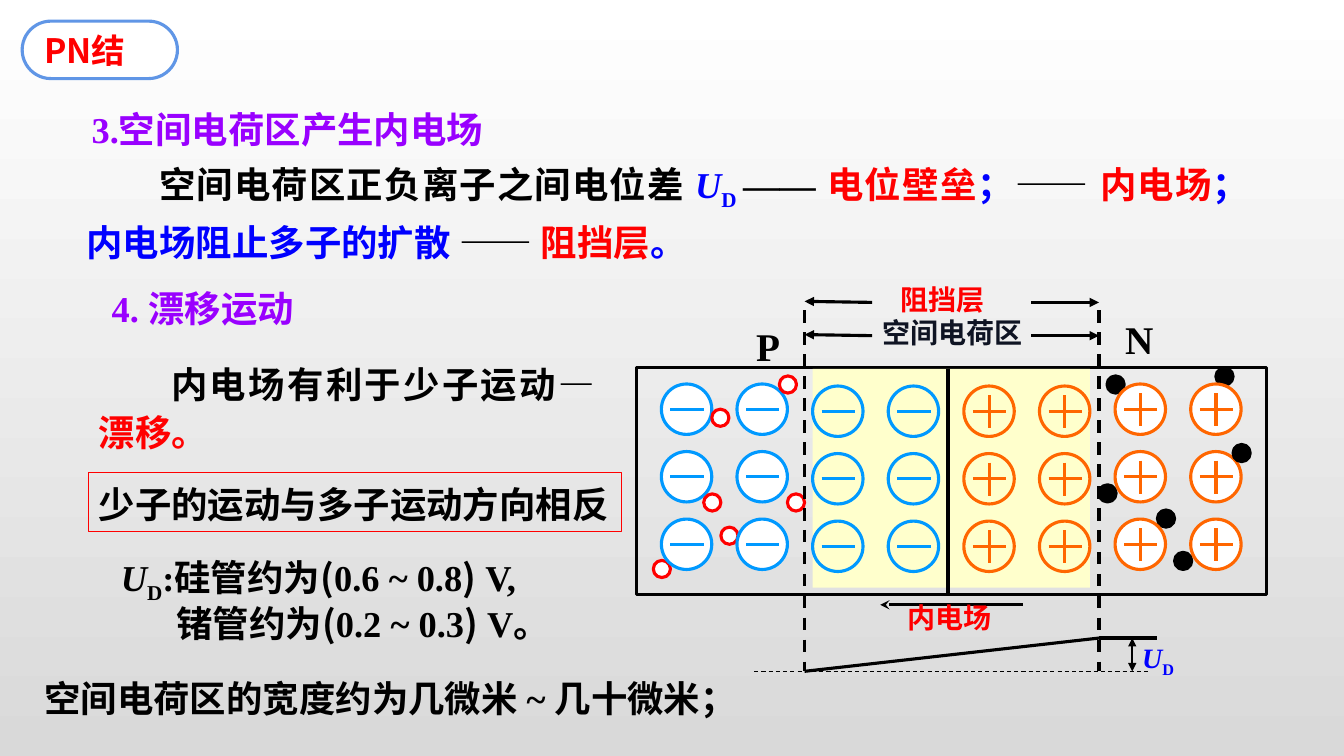
from dataclasses import dataclass

from lxml.etree import SubElement
from pptx import Presentation
from pptx.dml.color import RGBColor
from pptx.enum.dml import MSO_LINE
from pptx.enum.shapes import MSO_CONNECTOR, MSO_SHAPE
from pptx.enum.text import MSO_AUTO_SIZE, PP_ALIGN
from pptx.oxml.ns import qn
from pptx.util import Emu, Pt

EMU_PER_PX = 9144


@dataclass(frozen=True)
class Theme:
    black: str = "000000"
    white: str = "FFFFFF"
    shade: str = "D9D9D9"
    red: str = "FF0000"
    blue: str = "0000FF"
    purple: str = "9900FF"
    navy: str = "0F1423"
    negative: str = "0099FF"
    positive: str = "FF6600"
    zone: str = "FFFFCC"
    pill: str = "6096E6"
    serif: str = "Times New Roman"
    sans: str = "Noto Sans CJK SC"
    body: int = 26
    title: int = 24
    label: int = 20
    region: int = 28
    stroke: float = 2.25
    thin: float = 0.75


def px(n):
    return Emu(n * EMU_PER_PX)


def rgb(color):
    return RGBColor.from_string(color)


class SlideBuilder:
    def __init__(self, prs, theme):
        self.t = theme
        self.s = prs.slides.add_slide(prs.slide_layouts[6])

    def background(self, top, bottom):
        fill = self.s.background.fill
        fill.gradient()
        fill.gradient_angle = 270
        for stop, color in zip(fill.gradient_stops, (top, bottom)):
            stop.color.rgb = rgb(color)

    def shape(self, kind, x, y, w, h, fill=None, line=None, width=None):
        sp = self.s.shapes.add_shape(kind, px(x), px(y), px(w), px(h))
        sp.shadow.inherit = False
        if fill:
            sp.fill.solid()
            sp.fill.fore_color.rgb = rgb(fill)
        else:
            sp.fill.background()
        if line:
            sp.line.color.rgb = rgb(line)
            sp.line.width = Pt(width or self.t.stroke)
        else:
            sp.line.fill.background()
        return sp

    def line(self, x1, y1, x2, y2, color=None, width=None, dash=False, head=None, tail=None):
        c = self.s.shapes.add_connector(MSO_CONNECTOR.STRAIGHT, px(x1), px(y1), px(x2), px(y2))
        c.line.color.rgb = rgb(color or self.t.black)
        c.line.width = Pt(width or self.t.stroke)
        if dash:
            c.line.dash_style = MSO_LINE.DASH
        ln = c._element.spPr.find(qn("a:ln"))
        for tag, arrow in (("a:headEnd", head), ("a:tailEnd", tail)):
            if arrow:
                SubElement(ln, qn(tag)).set("type", arrow)
        SubElement(c._element.spPr, qn("a:effectLst"))

    def text(self, x, y, w, h, runs, size, justify=False, spacing=None, indent=0, frame=None):
        """Add a bold text box; each run is (text, colour, optional marks: italic sub sans)."""
        box = self.s.shapes.add_textbox(px(x), px(y), px(w), px(h))
        if frame:
            box.line.color.rgb = rgb(frame)
            box.line.width = Pt(self.t.thin)
        tf = box.text_frame
        tf.word_wrap = True
        tf.auto_size = MSO_AUTO_SIZE.SHAPE_TO_FIT_TEXT
        p = tf.paragraphs[0]
        if justify:
            p.alignment = PP_ALIGN.JUSTIFY
        if spacing:
            p.line_spacing = spacing
        if indent:
            p._p.get_or_add_pPr().set("indent", str(px(indent)))
        for text, color, *marks in runs:
            r = p.add_run()
            r.text = text
            r.font.size = Pt(size)
            r.font.bold = True
            r.font.italic = "italic" in marks
            r.font.color.rgb = rgb(color)
            r.font.name = self.t.sans if "sans" in marks else self.t.serif
            rPr = r._r.get_or_add_rPr()
            SubElement(rPr, qn("a:ea")).set("typeface", self.t.sans)
            if "sub" in marks:
                rPr.set("baseline", "-25000")

    def ion(self, x, y, positive, fill=None):
        color = self.t.positive if positive else self.t.negative
        self.shape(MSO_SHAPE.OVAL, x, y, 50, 50, fill, color)
        if positive:
            self.line(x + 25, y + 9, x + 25, y + 42, color)
        self.line(x + 9, y + 25, x + 42, y + 25, color)

    def ions(self, columns, rows, top, positive, fill=None):
        for row in rows:
            for column in columns:
                self.ion(656 + 75 * column, top + 67 * row, positive, fill)

    def carriers(self, places, fill, line):
        for x, y in places:
            self.shape(MSO_SHAPE.OVAL, x, y, 17, 17, fill, line)

    def width_arrows(self, y):
        """Draw the pair of arrows that point out to the edges of the zone."""
        self.line(1023, y, 1090, y, tail="triangle")
        self.line(865, y, 798, y - 1, tail="triangle")


def draw_junction(b, t):
    b.ions((0, 1), (0, 1), 381, False, t.white)
    b.carriers([(706, 406), (781, 490), (715, 523), (698, 490), (648, 556), (773, 373)],
               t.white, t.red)
    b.ions((0, 1), (2,), 381, False, t.white)
    b.carriers([(1098, 373), (1206, 365), (1165, 548), (1148, 506), (1090, 481)],
               t.black, t.black)
    b.ions((6, 7), range(3), 381, True, t.white)
    b.shape(MSO_SHAPE.RECTANGLE, 631, 365, 625, 225, line=t.black)
    b.carriers([(1223, 441)], t.black, t.black)
    b.text(740, 315, 58, 57, [("P", t.black)], t.region)
    b.text(1106, 308, 83, 57, [("N", t.black)], t.region)

    b.shape(MSO_SHAPE.RECTANGLE, 806, 366, 275, 217, t.zone)
    b.ions((2, 3), range(3), 383, False)
    b.ions((4, 5), range(3), 383, True)
    b.line(940, 366, 940, 591, width=3)
    for x in (798, 1090):
        b.line(x, 308, x, 666, dash=True)
    b.width_arrows(333)
    b.text(865, 308, 167, 43, [("空间电荷区", t.navy)], t.label)
    b.width_arrows(300)
    b.text(883, 275, 149, 43, [("阻挡层", t.red)], t.label)


def draw_potential(b, t):
    b.line(748, 666, 1140, 666, width=t.thin, dash=True)
    b.line(873, 600, 1015, 600, head="stealth")
    b.text(890, 591, 133, 43, [("内电场", t.red)], t.label)
    b.line(1123, 633, 1123, 666, width=1.5, head="triangle", tail="triangle")
    b.line(798, 666, 1090, 633)
    b.line(1090, 633, 1148, 633)
    b.text(1123, 631, 67, 43, [("U", t.blue, "italic"), ("D", t.blue, "sub")], t.label)


def draw_notes(b, t):
    b.text(81, 101, 525, 54, [("3.空间电荷区产生内电场", t.purple)], t.body, justify=True)
    b.text(76, 146, 1173, 115, [
        ("空间电荷区正负离子之间电位差 ", t.black),
        ("U", t.blue, "italic"), ("D ", t.blue, "sub"),
        ("—— ", t.black), ("电位壁垒", t.red), ("；", t.blue),
        ("—— ", t.black), ("内电场", t.red), ("；内电场阻止多子的扩散 ", t.blue),
        ("—— ", t.black), ("阻挡层", t.red), ("。", t.blue),
    ], t.body, justify=True, spacing=1.2, indent=72)
    b.text(101, 279, 339, 54, [("4. 漂移运动", t.purple)], t.body, justify=True)
    b.text(88, 350, 512, 106, [("内电场有利于少子运动—", t.black), ("漂移。", t.red)],
           t.body, justify=True, spacing=1.1, indent=72)
    b.text(88, 469, 528, 58, [("少子的运动与多子运动方向相反", t.black)],
           t.body, justify=True, spacing=1.1, frame=t.red)

    def voltage(material, volts, end):
        return [(material, t.black), ("(", t.black, "sans"), (volts, t.black),
                (")", t.black, "sans"), (end, t.black)]

    barrier = [("U", t.black, "italic"), ("D", t.black, "sub")]
    b.text(110, 546, 452, 54, barrier + voltage(":硅管约为", "0.6 ~ 0.8", " V,"),
           t.body, justify=True)
    b.text(165, 591, 533, 54, voltage("锗管约为", "0.2 ~ 0.3", " V。"), t.body, justify=True)
    b.text(34, 666, 732, 53, [("空间电荷区的宽度约为几微米 ~ 几十微米；", t.black)],
           t.body, justify=True)


def main():
    prs = Presentation()
    prs.slide_width, prs.slide_height = px(1333), px(750)
    t = Theme()
    b = SlideBuilder(prs, t)
    b.background(t.white, t.shade)
    draw_junction(b, t)
    draw_potential(b, t)
    draw_notes(b, t)
    pill = b.shape(MSO_SHAPE.ROUNDED_RECTANGLE, 22, 21, 154, 57, t.white, t.pill)
    pill.adjustments[0] = 0.5
    b.text(34, 25, 136, 50, [("PN结", t.red, "sans")], t.title)
    prs.save("out.pptx")


if __name__ == "__main__":
    main()
